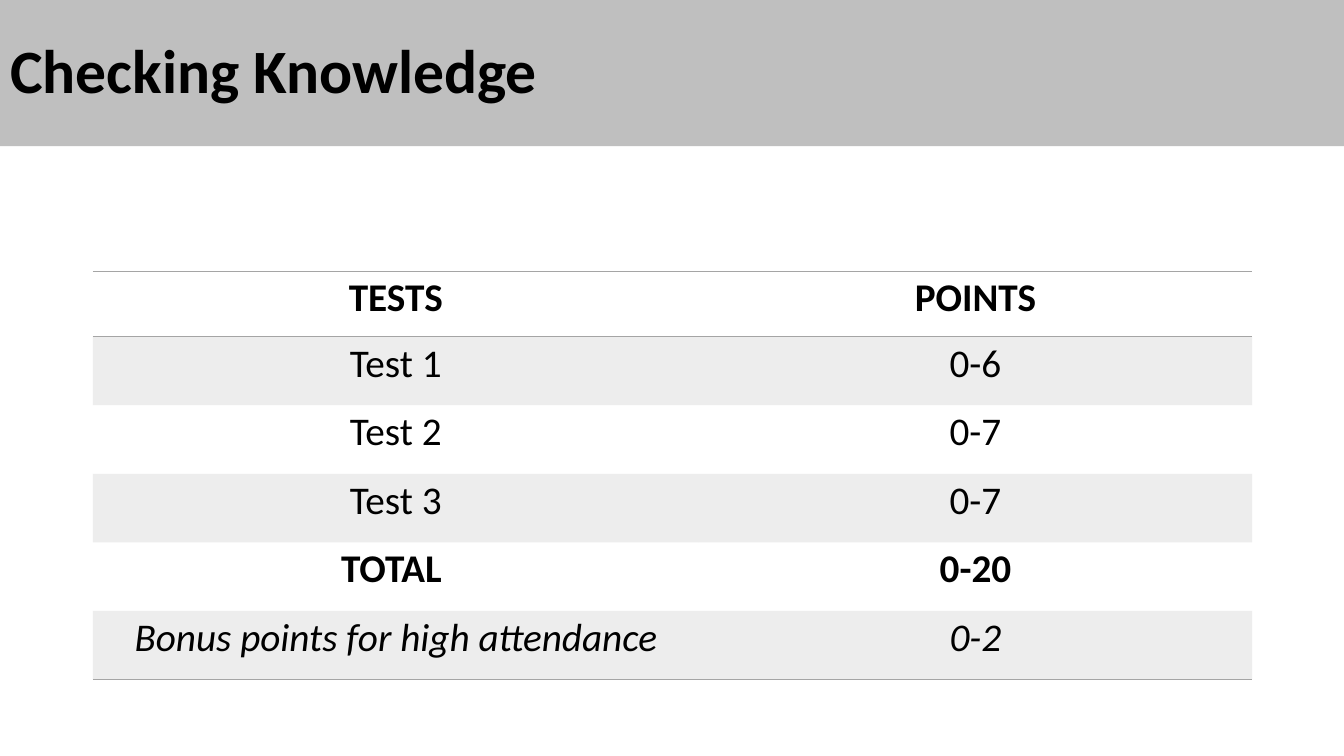
from pptx import Presentation
from pptx.dml.color import RGBColor
from pptx.enum.text import MSO_ANCHOR, PP_ALIGN
from pptx.oxml import parse_xml
from pptx.oxml.ns import nsdecls, qn
from pptx.util import Inches, Pt

COLORS = {"banner": "BFBFBF", "text": "000000", "accent": "A5A5A5"}
FONT = "Calibri"
NO_STYLE = "{2D5ABB26-0587-4C30-8999-92F81FD0307C}"

# Each row: test, points, text format
ROWS = [
    ("TESTS", "POINTS", {"bold": True}),
    ("Test 1", "0-6", {}),
    ("Test 2", "0-7", {}),
    ("Test 3", "0-7", {}),
    ("TOTAL ", "0-20", {"bold": True}),
    ("Bonus points for high attendance", "0-2", {"italic": True}),
]


def write_text(text_frame, text, size, bold=False, italic=False,
               align=PP_ALIGN.LEFT, line_spacing=1.0, space_after=0):
    paragraph = text_frame.paragraphs[0]
    paragraph.alignment = align
    paragraph.line_spacing = line_spacing
    paragraph.space_before = Pt(0)
    paragraph.space_after = Pt(space_after)
    run = paragraph.add_run()
    run.text = text
    run.font.name = FONT
    run.font.size = Pt(size)
    run.font.bold = bold
    run.font.italic = italic
    run.font.color.rgb = RGBColor.from_string(COLORS["text"])


class SlideBuilder:
    def __init__(self, presentation):
        self.slide = presentation.slides.add_slide(presentation.slide_layouts[5])
        self.width = presentation.slide_width

    def add_title(self, text, height):
        title = self.slide.shapes.title
        title.left, title.top = Inches(0), Inches(0)
        title.width, title.height = self.width, Inches(height)
        title.fill.solid()
        title.fill.fore_color.rgb = RGBColor.from_string(COLORS["banner"])
        title.text_frame.vertical_anchor = MSO_ANCHOR.MIDDLE
        write_text(title.text_frame, text, 44, bold=True, line_spacing=0.9)

    def add_points_table(self, rows, left, top, column_widths, row_heights):
        frame = self.slide.shapes.add_table(
            len(rows), len(column_widths), Inches(left), Inches(top),
            Inches(sum(column_widths)), Inches(sum(row_heights)))
        table = frame.table
        table.first_row = table.horz_banding = False
        table._tbl.tblPr.find(qn("a:tableStyleId")).text = NO_STYLE
        for column, width in zip(table.columns, column_widths):
            column.width = Inches(width)
        for row, height in zip(table.rows, row_heights):
            row.height = Inches(height)

        last = len(rows) - 1
        for index, (*texts, text_format) in enumerate(rows):
            edges = {0: ("T", "B"), last: ("B",)}.get(index, ())
            for cell, text in zip(table.rows[index].cells, texts):
                self.format_cell(cell, shaded=index % 2 == 1, edges=edges)
                write_text(cell.text_frame, text, 28, align=PP_ALIGN.CENTER,
                           line_spacing=1.07, space_after=8, **text_format)

    def format_cell(self, cell, shaded, edges):
        """Set margins, a 20 % accent tint if shaded, and rules on the edges."""
        cell.margin_left = cell.margin_right = Inches(0.23)
        cell.margin_top = cell.margin_bottom = Inches(0)
        if shaded:
            cell.fill.solid()
            cell.fill.fore_color.rgb = RGBColor.from_string(COLORS["accent"])
            properties = cell._tc.get_or_add_tcPr()
            color = properties.find(qn("a:solidFill")).find(qn("a:srgbClr"))
            color.append(parse_xml(f'<a:alpha {nsdecls("a")} val="20000"/>'))
        else:
            cell.fill.background()
        for position, edge in enumerate(edges):
            cell._tc.get_or_add_tcPr().insert(position, parse_xml(
                f'<a:ln{edge} {nsdecls("a")} w="{Pt(1)}"><a:solidFill>'
                f'<a:srgbClr val="{COLORS["accent"]}"/></a:solidFill></a:ln{edge}>'))


def main():
    presentation = Presentation()
    presentation.slide_width = Inches(13.33)
    presentation.slide_height = Inches(7.5)
    builder = SlideBuilder(presentation)
    builder.add_title("Checking Knowledge", height=1.45)
    builder.add_points_table(ROWS, left=0.92, top=2.69, column_widths=[6.01, 5.49],
                             row_heights=[0.65] + [0.68] * (len(ROWS) - 1))
    presentation.save("out.pptx")


if __name__ == "__main__":
    main()
